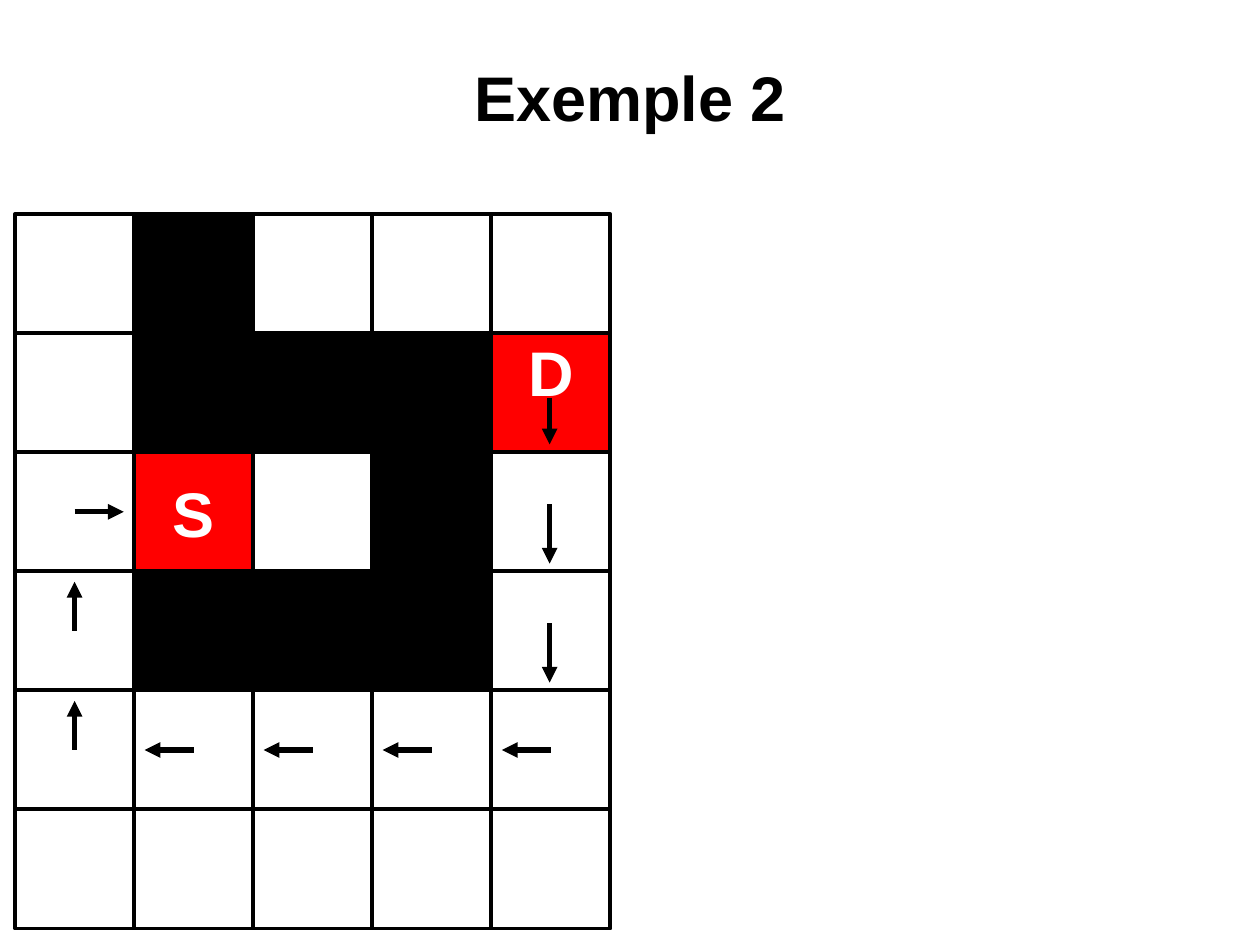
"""Build the slide showing a path through a grid maze."""
from lxml.etree import SubElement
from pptx import Presentation
from pptx.dml.color import RGBColor
from pptx.enum.shapes import MSO_CONNECTOR, MSO_SHAPE
from pptx.enum.text import MSO_ANCHOR, PP_ALIGN
from pptx.oxml.ns import qn
from pptx.util import Inches, Pt

COLOURS = {"paper": "FFFFFF", "ink": "000000", "endpoint": "FF0000"}
MAZE = [
    ".#...",
    ".###D",
    ".S.#.",
    ".###.",
    ".....",
    ".....",
]
CELL_FILLS = {".": "paper", "#": "ink", "S": "endpoint", "D": "endpoint"}
LETTER_ANCHORS = {"S": MSO_ANCHOR.MIDDLE, "D": MSO_ANCHOR.TOP}
GRID_LEFT, GRID_TOP, GRID_HEIGHT = 0.12, 1.7, 5.67
CELL = GRID_HEIGHT / len(MAZE)
ROUTE = [
    (1, 4, "departure"), (2, 4, "down"), (3, 4, "down"),
    (4, 4, "left"), (4, 3, "left"), (4, 2, "left"), (4, 1, "left"),
    (4, 0, "up"), (3, 0, "up"), (2, 0, "right"),
]
STEPS = {
    "departure": (0, 0.37), "down": (0, 0.47),
    "left": (-0.39, 0), "up": (0, -0.39), "right": (0.39, 0),
}
START_SHIFTS = {"departure": (-0.01, 0.04), "down": (-0.01, -0.06)}


def colour(name):
    """Return the named colour."""
    return RGBColor.from_string(COLOURS[name])


def set_text(holder, text, size=36, ink="ink", bold=True, wrap=True,
             anchor=MSO_ANCHOR.MIDDLE):
    """Write centred text with its format into a shape."""
    frame = holder.text_frame
    frame.word_wrap = wrap
    frame.vertical_anchor = anchor
    if anchor == MSO_ANCHOR.TOP:
        frame.margin_top = 0
    paragraph = frame.paragraphs[0]
    paragraph.alignment = PP_ALIGN.CENTER
    run = paragraph.add_run()
    run.text = text
    run.font.name = "Arial"
    run.font.size = Pt(size)
    run.font.bold = bold
    run.font.color.rgb = colour(ink)


def place_title(slide, text):
    """Position and format the title."""
    title = slide.shapes.title
    title.left, title.top = Inches(0.5), Inches(0.3)
    title.width, title.height = Inches(9), Inches(0.93)
    title.fill.solid()
    title.fill.fore_color.rgb = colour("paper")
    set_text(title, text)


def add_cell(slide, row, column, mark):
    """Draw one maze cell, lettered if it is an endpoint."""
    cell = slide.shapes.add_shape(
        MSO_SHAPE.RECTANGLE,
        Inches(GRID_LEFT + column * CELL), Inches(GRID_TOP + row * CELL),
        Inches(CELL), Inches(CELL))
    cell.shadow.inherit = False
    cell.fill.solid()
    cell.fill.fore_color.rgb = colour(CELL_FILLS[mark])
    cell.line.color.rgb = colour("ink")
    cell.line.width = Pt(2.25)
    if mark in LETTER_ANCHORS:
        set_text(cell, mark, ink="paper", wrap=False, anchor=LETTER_ANCHORS[mark])


def add_step(slide, row, column, direction):
    """Draw an arrow from a cell's middle towards the next cell."""
    shift_x, shift_y = START_SHIFTS.get(direction, (0, 0))
    step_x, step_y = STEPS[direction]
    x = GRID_LEFT + (column + 0.5) * CELL + shift_x
    y = GRID_TOP + (row + 0.5) * CELL + shift_y
    arrow = slide.shapes.add_connector(
        MSO_CONNECTOR.STRAIGHT,
        Inches(x), Inches(y), Inches(x + step_x), Inches(y + step_y))
    arrow.line.color.rgb = colour("ink")
    arrow.line.width = Pt(3)
    SubElement(arrow.line._get_or_add_ln(), qn("a:tailEnd"), type="triangle")
    SubElement(arrow._element.spPr, qn("a:effectLst"))


def main():
    """Build and save the slide."""
    presentation = Presentation()
    presentation.slide_width, presentation.slide_height = Inches(10), Inches(7.5)
    slide = presentation.slides.add_slide(presentation.slide_layouts[5])
    place_title(slide, "Exemple 2")
    for row, marks in enumerate(MAZE):
        for column, mark in enumerate(marks):
            add_cell(slide, row, column, mark)
    for row, column, direction in ROUTE:
        add_step(slide, row, column, direction)
    presentation.save("out.pptx")


if __name__ == "__main__":
    main()
